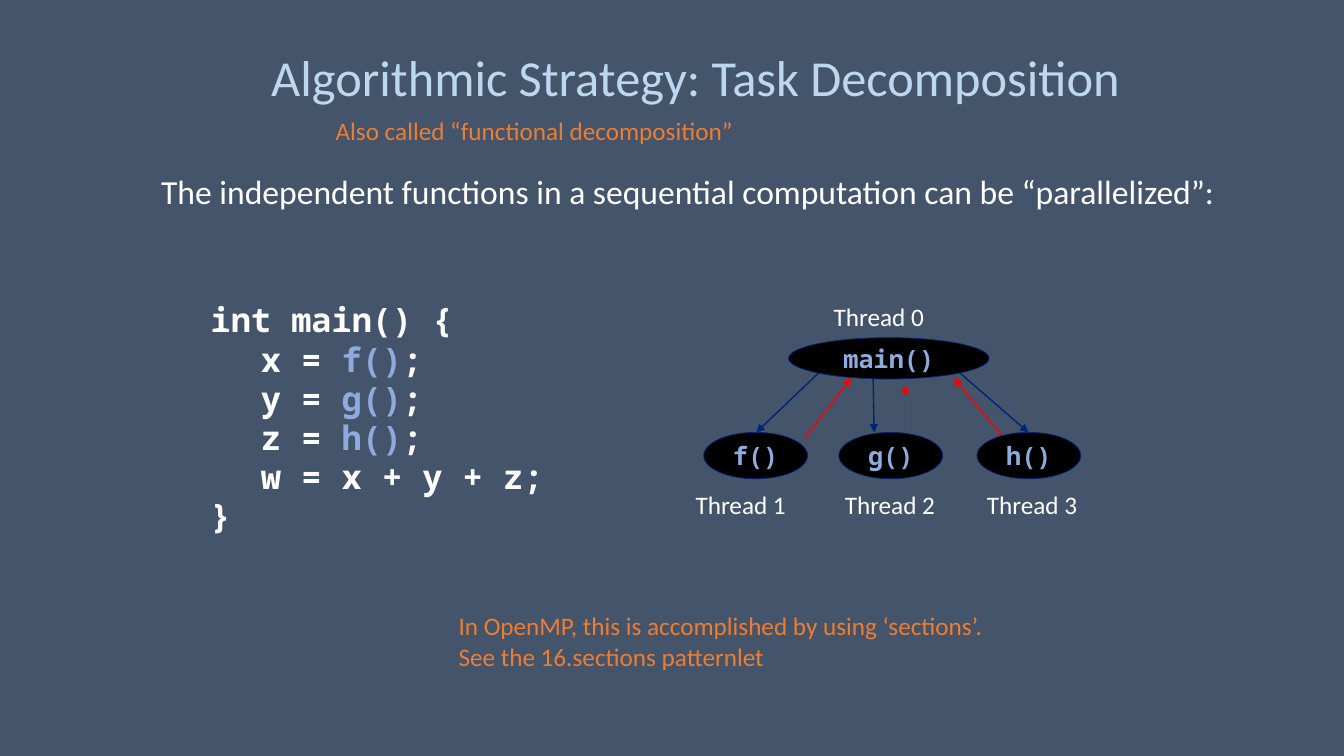
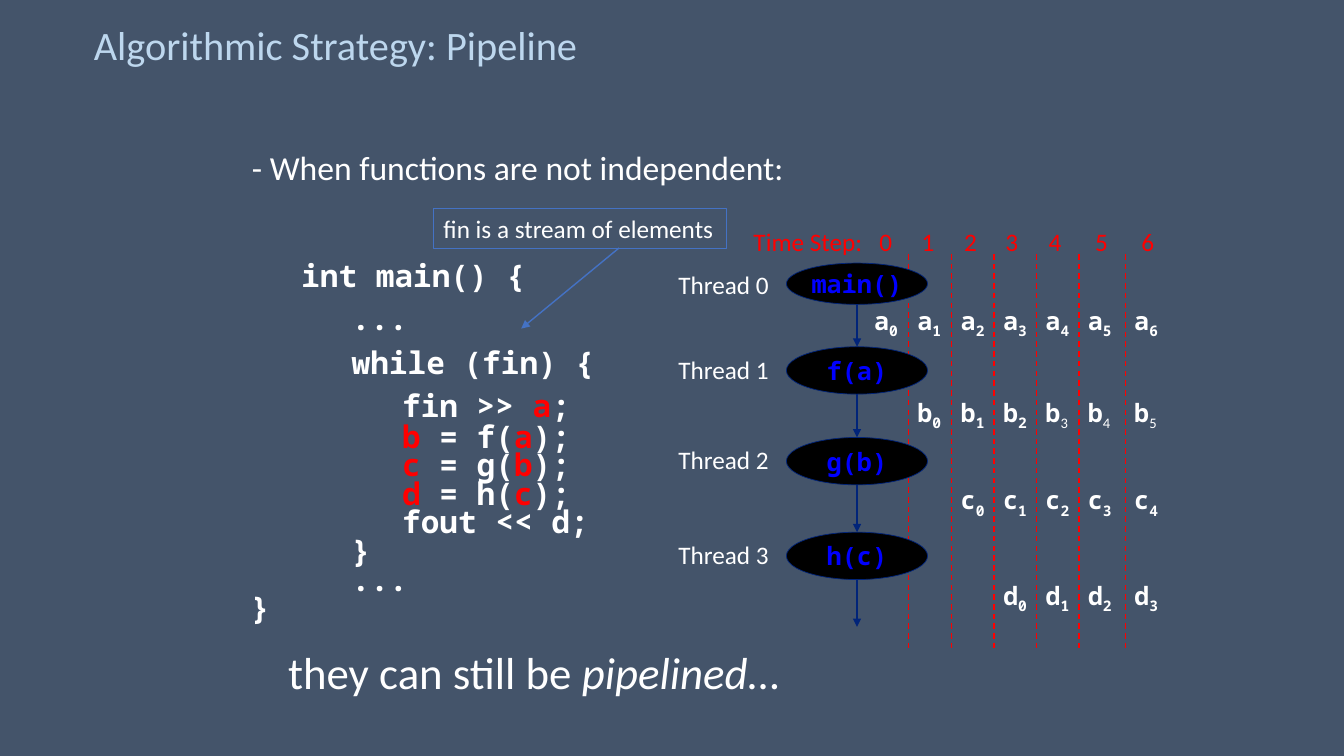
from typing import NamedTuple

from lxml import etree
from pptx import Presentation
from pptx import util as u
from pptx.dml.color import RGBColor
from pptx.enum import dml, shapes, text
from pptx.oxml.ns import qn

HUES = {
    "back": "44546A", "title": "BDD7EE", "white": "FFFFFF", "note": "ED7D31",
    "call": "8FAADC", "red": "FF0000", "navy": "012479", "black": "000000",
    "blue": "0000FF", "frame": "4472C4",
}
SANS, MONO = "Calibri", "Noto Sans Mono"
TITLE_ONLY = 5
TAB = 0.5


class Box(NamedTuple):
    left: float
    top: float
    width: float
    height: float


class Style(NamedTuple):
    size: float = 18
    hue: str = "white"
    face: str = SANS
    bold: bool = False


class Line(NamedTuple):
    """One paragraph; text between bars is accented."""
    words: str
    space: float = 1.0


class Node(NamedTuple):
    label: str
    box: Box
    thread: str
    tag: tuple[float, float]


class Arrow(NamedTuple):
    start: tuple[float, float]
    end: tuple[float, float]
    hue: str = "navy"


class Step(NamedTuple):
    head: float
    cell: float


CODE = Style(24, face=MONO, bold=True)
CELL = Style(face=MONO, bold=True)

TASK_CODE = [
    Line("\tint main() {"),
    Line("\t\tx = |f()|;", 0.8),
    Line("\t\ty = |g()|;", 0.8),
    Line("\t\tz = |h()|;", 0.8),
    Line("\t\tw = x + y + z;", 0.8),
    Line("\t}", 0.8),
]
TASK_NODES = [
    Node("f()", Box(6.98, 4.29, 1.03, 0.46), "Thread 1", (6.8, 4.81)),
    Node("g()", Box(8.32, 4.29, 1.03, 0.46), "Thread 2", (8.28, 4.81)),
    Node("h()", Box(9.69, 4.29, 1.03, 0.46), "Thread 3", (9.69, 4.81)),
    Node("main()", Box(7.82, 3.35, 1.99, 0.41), "Thread 0", (8.17, 2.94)),
]
TASK_ARROWS = [
    Arrow((7.98, 4.35), (8.44, 3.75), "red"),
    Arrow((8.98, 4.35), (8.98, 3.82), "red"),
    Arrow((9.96, 4.35), (9.46, 3.75), "red"),
    Arrow((8.12, 3.7), (7.5, 4.29)),
    Arrow((8.66, 3.76), (8.67, 4.29)),
    Arrow((9.52, 3.7), (10.2, 4.29)),
]

PIPE_CODE = [
    Line("\tint main() {"),
    Line("\t\t..."),
    Line("\t\twhile (fin) {"),
    Line("\t\t\tfin >> |a|;"),
    Line("\t\t\t|b| = f(|a|);", 0.6),
    Line("\t\t\t|c| = g(|b|);", 0.6),
    Line("\t\t\t|d| = h(|c|);", 0.6),
    Line("\t\t\tfout << d;", 0.6),
    Line("\t\t}", 0.6),
    Line("\t\t...", 0.6),
    Line("}", 0.6),
]
PIPE_NODES = [
    Node("main()", Box(7.8, 2.61, 1.4, 0.41), "Thread 0", (6.63, 2.62)),
    Node("f(a)", Box(7.8, 3.44, 1.4, 0.47), "Thread 1", (6.63, 3.47)),
    Node("g(b)", Box(7.8, 4.34, 1.4, 0.47), "Thread 2", (6.63, 4.36)),
    Node("h(c)", Box(7.8, 5.28, 1.4, 0.47), "Thread 3", (6.63, 5.3)),
]
PIPE_END = 6.22
STEPS = [
    Step(8.55, 8.57), Step(8.97, 9), Step(9.39, 9.43), Step(9.8, 9.85),
    Step(10.23, 10.27), Step(10.69, 10.69), Step(11.15, 11.15),
]
ROWS = {"a": 2.98, "b": 3.89, "c": 4.76, "d": 5.71}


def color(hue: str) -> RGBColor:
    return RGBColor.from_string(HUES[hue])


def place(box: Box) -> list[u.Length]:
    return [u.Inches(side) for side in box]


def dress(para, style: Style) -> None:
    font = para.font
    font.size, font.name, font.bold = u.Pt(style.size), style.face, style.bold
    font.color.rgb = color(style.hue)


def write(slide, box: Box, lines: list[Line], style: Style, accent: str = "",
          gap: int = 0, align=text.PP_ALIGN.LEFT, tabs: int = 0, wrap: bool = True):
    """Add a text box; gap is the space between paragraphs in percent of a line.

    The accent is a colour name, or italic when none is given.
    """
    shape = slide.shapes.add_textbox(*place(box))
    frame = shape.text_frame
    frame.word_wrap = wrap
    for row, line in enumerate(lines):
        para = frame.add_paragraph() if row else frame.paragraphs[0]
        para.alignment, para.line_spacing = align, line.space
        props = para._p.get_or_add_pPr()
        if row and gap:
            before = etree.SubElement(props, qn("a:spcBef"))
            etree.SubElement(before, qn("a:spcPct"), val=str(gap * 1000))
        if tabs:
            stops = etree.SubElement(props, qn("a:tabLst"))
            for stop in range(1, tabs + 1):
                etree.SubElement(stops, qn("a:tab"), pos=str(u.Inches(stop * TAB)), algn="l")
        dress(para, style)
        for part, words in enumerate(line.words.split("|")):
            if not words:
                continue
            run = para.add_run()
            run.text = words
            if part % 2 and accent:
                run.font.color.rgb = color(accent)
            elif part % 2:
                run.font.italic = True
    return shape


def label(slide, box: Box, words: str, style: Style = Style(), **extra):
    return write(slide, box, [Line(words)], style, **extra)


def link(slide, arrow: Arrow, dashed: bool = False) -> None:
    """Draw a thin arrow, or a dashed line without a head."""
    ends = [u.Inches(side) for side in (*arrow.start, *arrow.end)]
    line = slide.shapes.add_connector(shapes.MSO_CONNECTOR.STRAIGHT, *ends)
    line.line.color.rgb, line.line.width = color(arrow.hue), u.Pt(1)
    if dashed:
        line.line.dash_style = dml.MSO_LINE.DASH
    else:
        etree.SubElement(line.line._get_or_add_ln(), qn("a:tailEnd"), type="triangle")
    etree.SubElement(line._element.spPr, qn("a:effectLst"))


def draw(slide, node: Node, hue: str) -> None:
    oval = slide.shapes.add_shape(shapes.MSO_SHAPE.OVAL, *place(node.box))
    oval.shadow.inherit = False
    oval.fill.solid()
    oval.fill.fore_color.rgb = color("black")
    oval.line.color.rgb, oval.line.width = color("navy"), u.Pt(0.5)
    frame = oval.text_frame
    frame.margin_left = frame.margin_right = frame.margin_top = frame.margin_bottom = 0
    frame.vertical_anchor = text.MSO_ANCHOR.MIDDLE
    para = frame.paragraphs[0]
    para.text, para.alignment = node.label, text.PP_ALIGN.CENTER
    dress(para, CELL._replace(hue=hue))
    label(slide, Box(*node.tag, 1.21, 0.4), node.thread)


def start(deck, words: str, box: Box, size: float):
    """Add a slide with its title."""
    slide = deck.slides.add_slide(deck.slide_layouts[TITLE_ONLY])
    title = slide.shapes.title
    title.left, title.top, title.width, title.height = place(box)
    frame = title.text_frame
    frame.auto_size = text.MSO_AUTO_SIZE.NONE
    frame.vertical_anchor = text.MSO_ANCHOR.MIDDLE
    para = frame.paragraphs[0]
    para.text, para.alignment, para.line_spacing = words, text.PP_ALIGN.LEFT, 0.9
    dress(para, Style(size, "title"))
    return slide


def tasks(deck) -> None:
    slide = start(deck, "Algorithmic Strategy: Task Decomposition", Box(2.59, 0.5, 8.84, 0.59), 36)
    lead = "The independent functions in a sequential computation can be “parallelized”:"
    write(slide, Box(1.5, 1.69, 10.83, 1.23), [Line(lead, 0.9)], Style(24))
    write(slide, Box(1.49, 2.92, 4.29, 3.02), TASK_CODE, CODE, "call", gap=20, tabs=2)
    for arrow in TASK_ARROWS:
        link(slide, arrow)
    for node in TASK_NODES:
        draw(slide, node, "call")
    note = Style(hue="note")
    label(slide, Box(3.23, 1.09, 7.92, 0.4), "Also called “functional decomposition”", note)
    write(slide, Box(4.45, 6.01, 5.46, 0.71), [
        Line("In OpenMP, this is accomplished by using ‘sections’."),
        Line("See the 16.sections patternlet"),
    ], note, wrap=False)


def cell(slide, box: Box, name: str, index: int, plain: bool) -> None:
    """Write a letter with its subscript; a plain one is light and sans."""
    run = label(slide, box, name, CELL).text_frame.paragraphs[0].add_run()
    run.text = str(index)
    run._r.get_or_add_rPr().set("baseline", "-25000")
    if plain:
        run.font.name, run.font.bold = SANS, False


def grid(slide) -> None:
    head = Style(hue="red")
    label(slide, Box(7.35, 2.2, 1.3, 0.4), "Time Step:", head, align=text.PP_ALIGN.RIGHT)
    for time, step in enumerate(STEPS):
        label(slide, Box(step.head, 2.2, 0.47, 0.4), str(time), head, align=text.PP_ALIGN.CENTER)
        if time:
            rule = step.cell + 0.01
            link(slide, Arrow((rule, 2.52), (rule, 6.47), "red"), dashed=True)
        for delay, (name, top) in enumerate(ROWS.items()):
            if time >= delay:
                index = time - delay
                cell(slide, Box(step.cell, top, 0.55, 0.4), name, index, name == "b" and index > 2)


def pipe(deck) -> None:
    slide = start(deck, "Algorithmic Strategy: Pipeline", Box(0.83, 0.2, 11.5, 0.55), 28.8)
    lead = "- When functions are not independent:"
    write(slide, Box(2.4, 1.45, 9.21, 0.77), [Line(lead, 0.9)], Style(24))
    write(slide, Box(2.39, 2.49, 4.29, 3.59), PIPE_CODE, CODE._replace(size=22.2), "red",
          gap=20, tabs=3)
    grid(slide)
    tops = [node.box.top for node in PIPE_NODES[1:]] + [PIPE_END]
    for node, top in zip(PIPE_NODES, tops):
        draw(slide, node, "blue")
        mid = node.box.left + node.box.width / 2
        link(slide, Arrow((mid, node.box.top + node.box.height), (mid, top)))
    label(slide, Box(2.76, 6.35, 5.41, 0.88), "they can still be |pipelined|…", Style(32))
    hint = label(slide, Box(4.3, 2.07, 2.91, 0.4), "fin is a stream of elements", wrap=False)
    hint.line.color.rgb, hint.line.width = color("frame"), u.Pt(0.75)
    link(slide, Arrow((6.14, 2.46), (5.17, 3.26), "frame"))


def main() -> None:
    deck = Presentation()
    deck.slide_width, deck.slide_height = u.Inches(13.33), u.Inches(7.5)
    back = deck.slide_master.background.fill
    back.solid()
    back.fore_color.rgb = color("back")
    tasks(deck)
    pipe(deck)
    deck.save("out.pptx")


if __name__ == "__main__":
    main()
